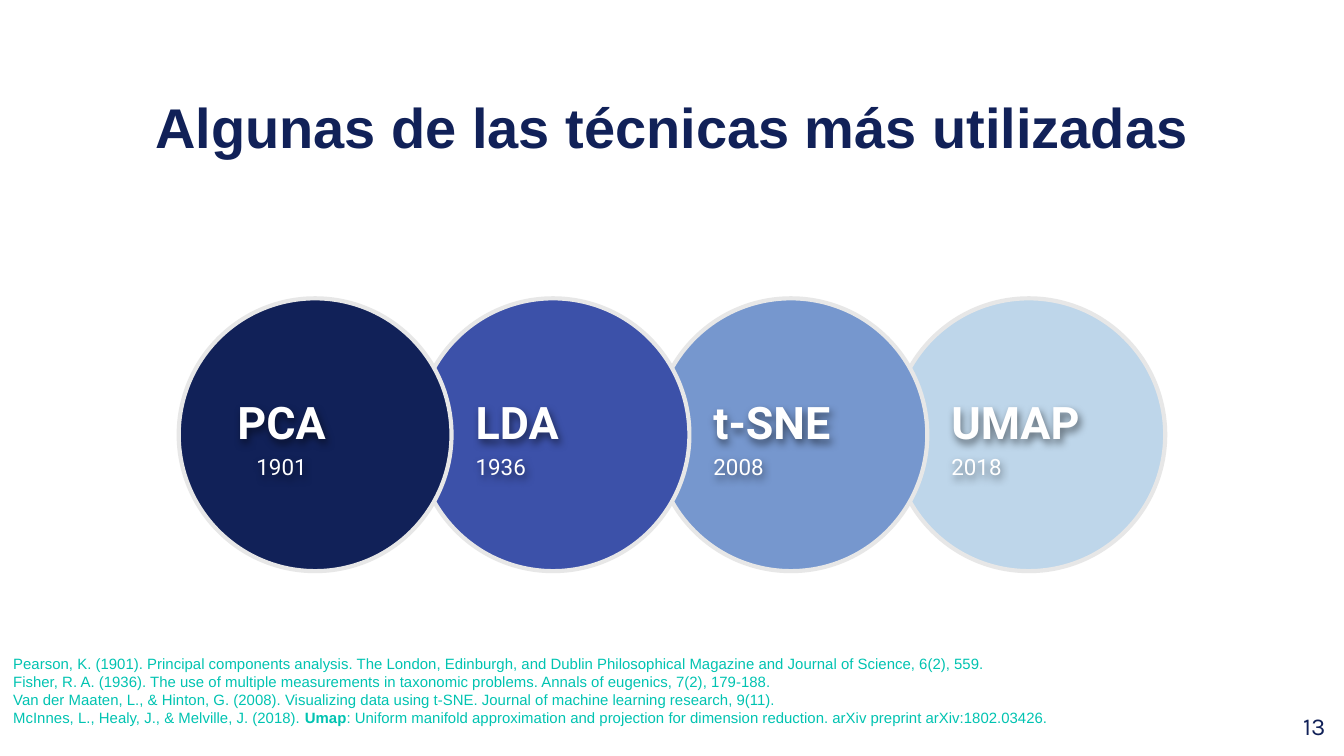
import pptx
import pptx.util
import pptx.dml.color
import pptx.enum.shapes
import pptx.enum.text
import pptx.oxml
import pptx.oxml.ns

Inches = pptx.util.Inches
Pt = pptx.util.Pt
ALIGN = pptx.enum.text.PP_ALIGN
ANCHOR = pptx.enum.text.MSO_ANCHOR
NAVY = "112158"
TEAL = "00C3B1"


def color(value):
    return pptx.dml.color.RGBColor.from_string(value)


def write(shape, paragraphs, font="Arial", fill=NAVY, align=ALIGN.LEFT,
          anchor=ANCHOR.TOP, spacing=1.0):
    """Fill a shape with paragraphs, each a list of (text, size, bold) runs."""
    frame = shape.text_frame
    frame.word_wrap = True
    frame.auto_size = pptx.enum.text.MSO_AUTO_SIZE.NONE
    frame.vertical_anchor = anchor
    frame.margin_left = frame.margin_right = Inches(0.1)
    frame.margin_top = frame.margin_bottom = Inches(0.1)
    for index, runs in enumerate(paragraphs):
        paragraph = frame.add_paragraph() if index else frame.paragraphs[0]
        paragraph.alignment = align
        paragraph.line_spacing = spacing
        for text, size, bold in runs:
            run = paragraph.add_run()
            run.text = text
            run.font.name = font
            run.font.size = Pt(size)
            run.font.bold = bold
            run.font.color.rgb = color(fill)


# Widescreen slide, 16:9
presentation = pptx.Presentation()
presentation.slide_width = Inches(10)
presentation.slide_height = Inches(10 * 9 / 16)
slide = presentation.slides.add_slide(presentation.slide_layouts[5])

# Title
title = slide.shapes.title
title.left, title.top = Inches(0), Inches(0.59)
title.width, title.height = Inches(10), Inches(0.63)
write(title, [[("Algunas de las técnicas más utilizadas", 30, True)]],
      align=ALIGN.CENTER)

# Slide number
number = slide.shapes.add_textbox(Inches(9.36), Inches(5.19), Inches(0.6), Inches(0.43))
write(number, [[("13", 13, False)]], font="Karla", align=ALIGN.RIGHT)

# Overlapping circles: the earliest technique lies in front
techniques = [
    ("PCA", "1901", NAVY, 0.06, ALIGN.CENTER),
    ("LDA", "1936", "3C51A9", 0.34, ALIGN.LEFT),
    ("t-SNE", "2008", "7697CE", 0.34, ALIGN.LEFT),
    ("UMAP", "2018", "BED6EA", 0.34, ALIGN.LEFT),
]
text_shadow = (
    f'<a:effectLst {pptx.oxml.ns.nsdecls("a")}>'
    '<a:outerShdw blurRad="57150" dist="28575" dir="3600000" algn="bl" rotWithShape="0">'
    '<a:srgbClr val="000000"><a:alpha val="50000"/></a:srgbClr>'
    '</a:outerShdw></a:effectLst>'
)
for index, (name, year, fill, indent, align) in reversed(list(enumerate(techniques))):
    left = 1.33 + 1.77 * index
    group = slide.shapes.add_group_shape()
    circle = group.shapes.add_shape(
        pptx.enum.shapes.MSO_SHAPE.OVAL,
        Inches(left), Inches(2.22), Inches(2.03), Inches(2.03))
    circle.shadow.inherit = False
    circle.fill.solid()
    circle.fill.fore_color.rgb = color(fill)
    circle.line.color.rgb = color("E7E7E7")
    circle.line.width = Pt(2.25)
    label = group.shapes.add_textbox(
        Inches(left + indent), Inches(2.94), Inches(1.41), Inches(0.57))
    write(label, [[(name, 24, True)], [(year, 12, False)]], font="Roboto",
          fill="FFFFFF", align=align, anchor=ANCHOR.MIDDLE, spacing=1.15)
    label.element.spPr.append(pptx.oxml.parse_xml(text_shadow))

# References
references = slide.shapes.add_textbox(Inches(0), Inches(4.7), Inches(10), Inches(0.88))
write(references, [
    [("Pearson, K. (1901). Principal components analysis. The London, Edinburgh, and Dublin "
      "Philosophical Magazine and Journal of Science, 6(2), 559.", 8, False)],
    [("Fisher, R. A. (1936). The use of multiple measurements in taxonomic problems. "
      "Annals of eugenics, 7(2), 179-188.", 8, False)],
    [("Van der Maaten, L., & Hinton, G. (2008). Visualizing data using t-SNE. "
      "Journal of machine learning research, 9(11).", 8, False)],
    [("McInnes, L., Healy, J., & Melville, J. (2018). ", 8, False),
     ("Umap", 8, True),
     (": Uniform manifold approximation and projection for dimension reduction. "
      "arXiv preprint arXiv:1802.03426.", 8, False)],
], fill=TEAL, anchor=ANCHOR.MIDDLE)

presentation.save("out.pptx")
